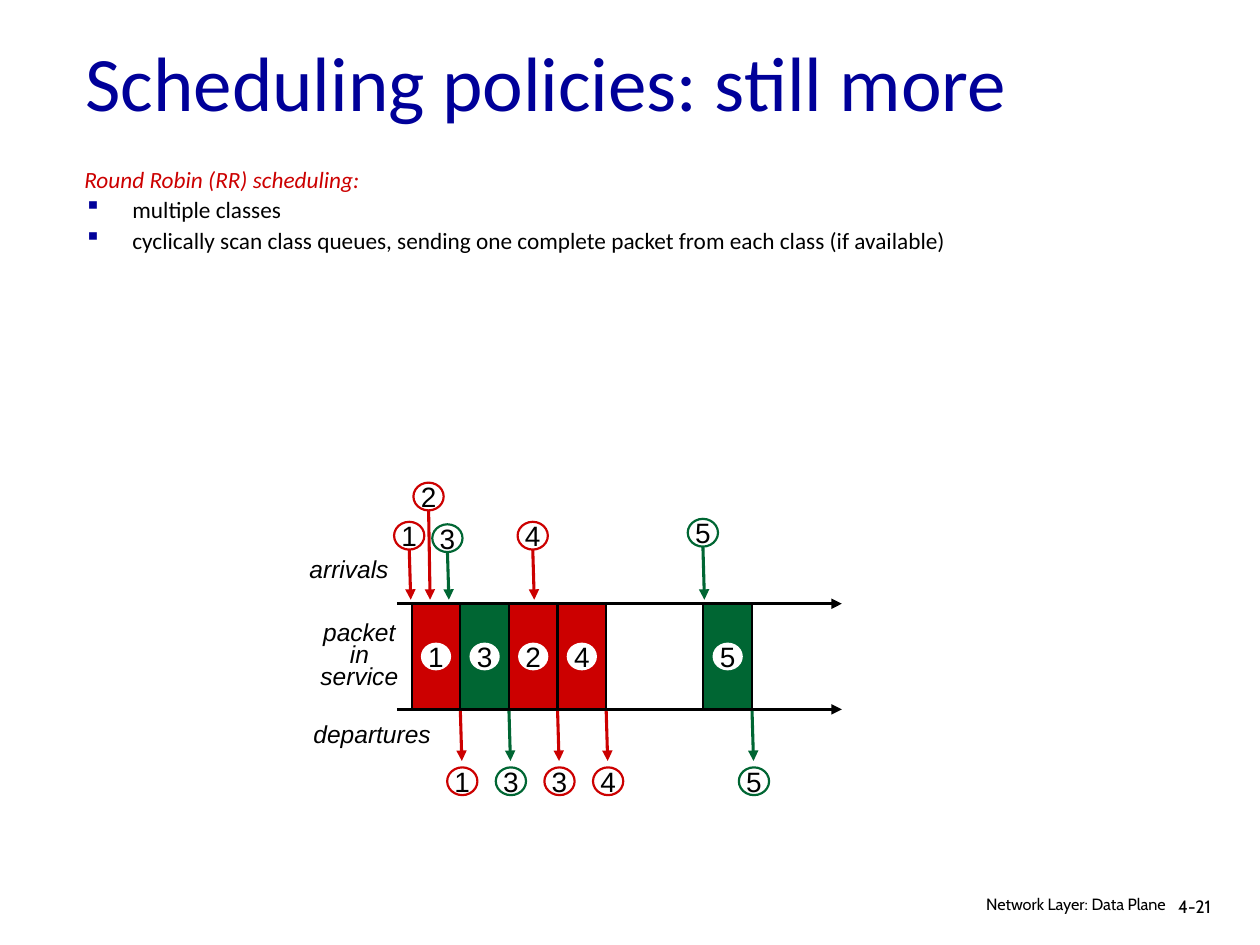
from dataclasses import dataclass

from lxml import etree
from pptx import Presentation
from pptx.dml.color import RGBColor
from pptx.enum.shapes import MSO_CONNECTOR, MSO_SHAPE
from pptx.enum.text import MSO_ANCHOR, MSO_AUTO_SIZE, PP_ALIGN
from pptx.oxml.ns import qn
from pptx.util import Cm, Pt

LEFT, CENTER, RIGHT = PP_ALIGN.LEFT, PP_ALIGN.CENTER, PP_ALIGN.RIGHT
MIDDLE = MSO_ANCHOR.MIDDLE
RECTANGLE, OVAL = MSO_SHAPE.RECTANGLE, MSO_SHAPE.OVAL
STRAIGHT = MSO_CONNECTOR.STRAIGHT

RED, GREEN, BLUE = "CC0000", "006633", "000099"
BLACK, WHITE = "000000", "FFFFFF"

# Timeline geometry in centimetres
AXIS_LEFT, AXIS_RIGHT = 8.0, 16.97
ARRIVAL_AXIS, DEPARTURE_AXIS = 12.17, 14.3
FIRST_SLOT, SLOT_WIDTH = 8.3, 0.98
CIRCLE_WIDTH, CIRCLE_HEIGHT = 0.61, 0.56
DEPARTURE_CIRCLE_Y = 15.75
ARROW_DRIFT = 0.03


@dataclass
class Arrival:
    label: str
    color: str
    x: float
    y: float


@dataclass
class Packet:
    label: str
    color: str
    slot: int
    departure_label: str


ARRIVALS = [
    Arrival("1", RED, 8.25, 10.8),
    Arrival("2", RED, 8.64, 10.01),
    Arrival("3", GREEN, 9.02, 10.85),
    Arrival("4", RED, 10.74, 10.8),
    Arrival("5", GREEN, 14.17, 10.74),
]
PACKETS = [
    Packet("1", RED, 0, "1"),
    Packet("3", GREEN, 1, "3"),
    Packet("2", RED, 2, "3"),
    Packet("4", RED, 3, "4"),
    Packet("5", GREEN, 6, "5"),
]


def rgb(color: str) -> RGBColor:
    return RGBColor.from_string(color)


def write(para, text: str, *, size: float, font="Arial", color=BLACK,
          italic=False, align=LEFT, spacing=None):
    para.alignment = align
    if spacing is not None:
        para.line_spacing = spacing
    span = para.add_run()
    span.text = text
    span.font.size = Pt(size)
    span.font.name = font
    span.font.italic = italic
    span.font.color.rgb = rgb(color)


def add_text(page, text: str, left: float, top: float, width: float,
             height: float, *, wrap=True, **style):
    box = page.shapes.add_textbox(Cm(left), Cm(top), Cm(width), Cm(height))
    box.text_frame.word_wrap = wrap
    write(box.text_frame.paragraphs[0], text, **style)
    return box


def add_shape(page, kind, left: float, top: float, width: float,
              height: float, fill: str, line=None):
    shape = page.shapes.add_shape(kind, Cm(left), Cm(top), Cm(width), Cm(height))
    shape.shadow.inherit = False
    shape.fill.solid()
    shape.fill.fore_color.rgb = rgb(fill)
    if line:
        shape.line.color.rgb = rgb(line)
        shape.line.width = Pt(1.25)
    else:
        shape.line.fill.background()
    return shape


def add_circle(page, label: str, x: float, y: float, line=None):
    """Draw a numbered white circle centred on (x, y)."""
    circle = add_shape(page, OVAL, x - CIRCLE_WIDTH / 2, y - CIRCLE_HEIGHT / 2,
                       CIRCLE_WIDTH, CIRCLE_HEIGHT, WHITE, line)
    frame = circle.text_frame
    frame.margin_left = frame.margin_right = 0
    frame.margin_top = frame.margin_bottom = 0
    frame.word_wrap = False
    frame.vertical_anchor = MIDDLE
    write(frame.paragraphs[0], label, size=16, align=CENTER)


def add_arrow(page, x1: float, y1: float, x2: float, y2: float, color: str,
              width: float):
    arrow = page.shapes.add_connector(STRAIGHT, Cm(x1), Cm(y1), Cm(x2), Cm(y2))
    arrow.line.color.rgb = rgb(color)
    arrow.line.width = Pt(width)
    etree.SubElement(arrow.line._get_or_add_ln(), qn("a:tailEnd"), type="triangle")
    etree.SubElement(arrow._element.spPr, qn("a:effectLst"))


def add_arrival(page, arrival: Arrival):
    add_arrow(page, arrival.x, arrival.y + CIRCLE_HEIGHT / 2,
              arrival.x + ARROW_DRIFT, ARRIVAL_AXIS - 0.08, arrival.color, 1.75)
    add_circle(page, arrival.label, arrival.x, arrival.y, arrival.color)


def add_packet(page, packet: Packet):
    """Draw a packet in service and its departure at the end of its slot."""
    left = FIRST_SLOT + packet.slot * SLOT_WIDTH
    end = left + SLOT_WIDTH
    height = DEPARTURE_AXIS - ARRIVAL_AXIS
    add_shape(page, RECTANGLE, left, ARRIVAL_AXIS, SLOT_WIDTH, height,
              packet.color, BLACK)
    add_circle(page, packet.label, left + SLOT_WIDTH / 2,
               ARRIVAL_AXIS + height / 2)
    add_arrow(page, end, DEPARTURE_AXIS + 0.03, end + ARROW_DRIFT,
              DEPARTURE_AXIS + 1.04, packet.color, 1.75)
    add_circle(page, packet.departure_label, end + 0.04, DEPARTURE_CIRCLE_Y,
               packet.color)


def add_title(page, text: str):
    title = page.shapes.title
    title.left, title.top = Cm(1.47), Cm(0.03)
    title.width, title.height = Cm(21.59), Cm(3.18)
    frame = title.text_frame
    frame.auto_size = MSO_AUTO_SIZE.NONE
    frame.vertical_anchor = MIDDLE
    write(frame.paragraphs[0], text, size=44, font="Calibri", color=BLUE)


def add_bullet(para):
    properties = para._p.get_or_add_pPr()
    properties.set("marL", str(Cm(0.97)))
    properties.set("indent", str(-Cm(0.97)))
    color = etree.SubElement(properties, qn("a:buClr"))
    etree.SubElement(color, qn("a:srgbClr"), val=BLUE)
    etree.SubElement(properties, qn("a:buChar"), char="▪")


def add_explanation(page, heading: str, points: list[str]):
    style = {"size": 13.3, "font": "Calibri", "spacing": 0.65}
    box = add_text(page, heading, 1.45, 3.38, 21.59, 2.11, color=RED,
                   italic=True, **style)
    for point in points:
        para = box.text_frame.add_paragraph()
        add_bullet(para)
        para.space_before = Pt(7)
        write(para, point, **style)


def main():
    deck = Presentation()
    deck.slide_width, deck.slide_height = Cm(25.4), Cm(19.05)
    page = deck.slides.add_slide(deck.slide_layouts[5])

    add_title(page, "Scheduling policies: still more")
    add_explanation(page, "Round Robin (RR) scheduling:", [
        "multiple classes",
        "cyclically scan class queues, sending one complete packet from each"
        " class (if available)",
    ])

    for axis in (ARRIVAL_AXIS, DEPARTURE_AXIS):
        add_arrow(page, AXIS_LEFT, axis, AXIS_RIGHT, axis, BLACK, 2)
    for packet in PACKETS:
        add_packet(page, packet)
    for arrival in ARRIVALS:
        add_arrival(page, arrival)

    label = {"size": 14, "italic": True}
    add_text(page, "arrivals", 5.99, 11.05, 2.11, 0.86, wrap=False, **label)
    add_text(page, "departures", 6.07, 14.38, 2.87, 0.86, wrap=False, **label)
    add_text(page, "packet in service", 6.05, 12.45, 2.39, 1.6, align=CENTER,
             spacing=Pt(12.7), **label)

    add_text(page, "4-21", 23.5, 17.98, 1.55, 0.76, size=10.2, font="Cabin",
             spacing=0.9)
    add_text(page, "Network Layer: Data Plane", 17.7, 17.98, 6.05, 0.66,
             size=9.3, font="Cabin", align=RIGHT, spacing=0.8)
    deck.save("out.pptx")


if __name__ == "__main__":
    main()
